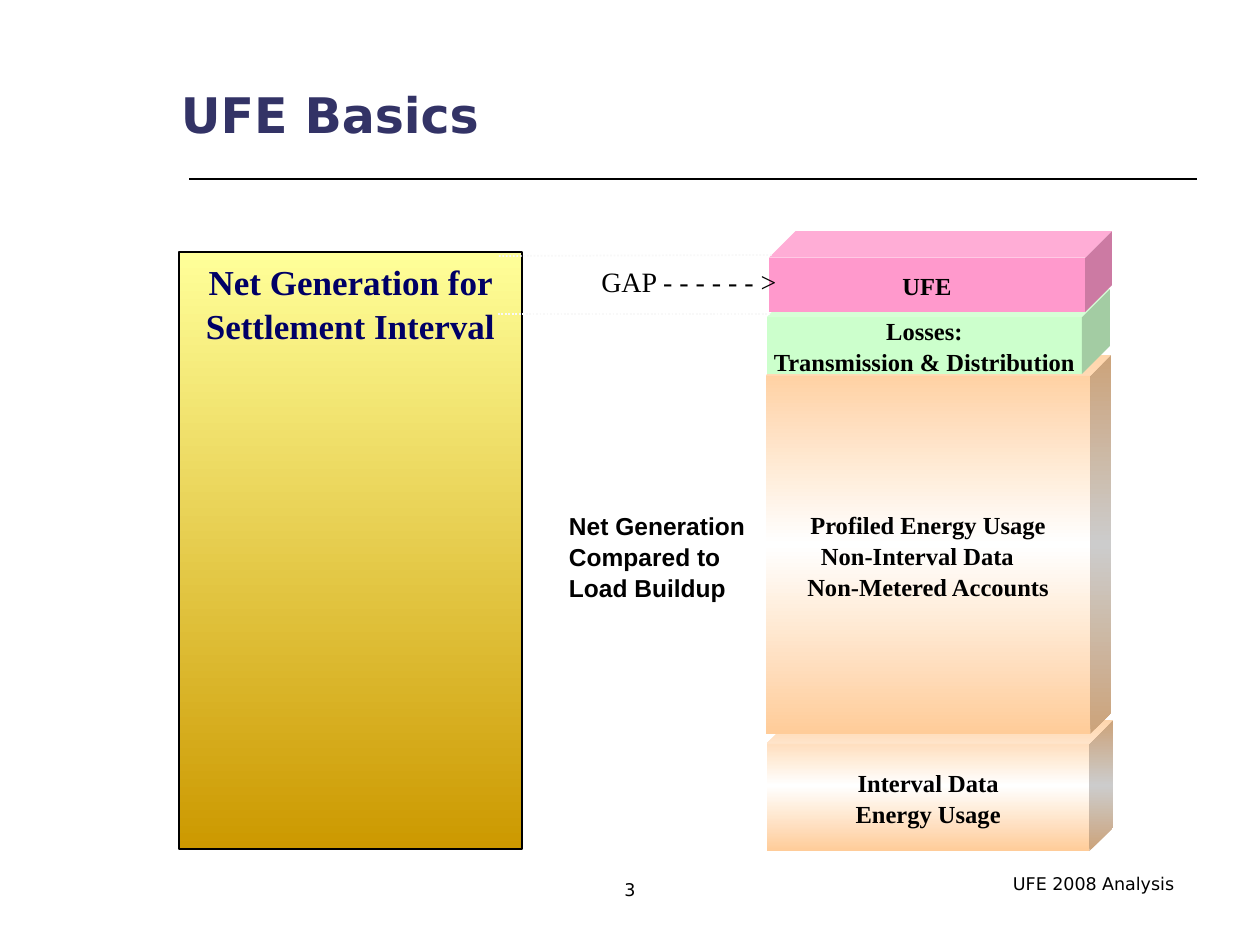
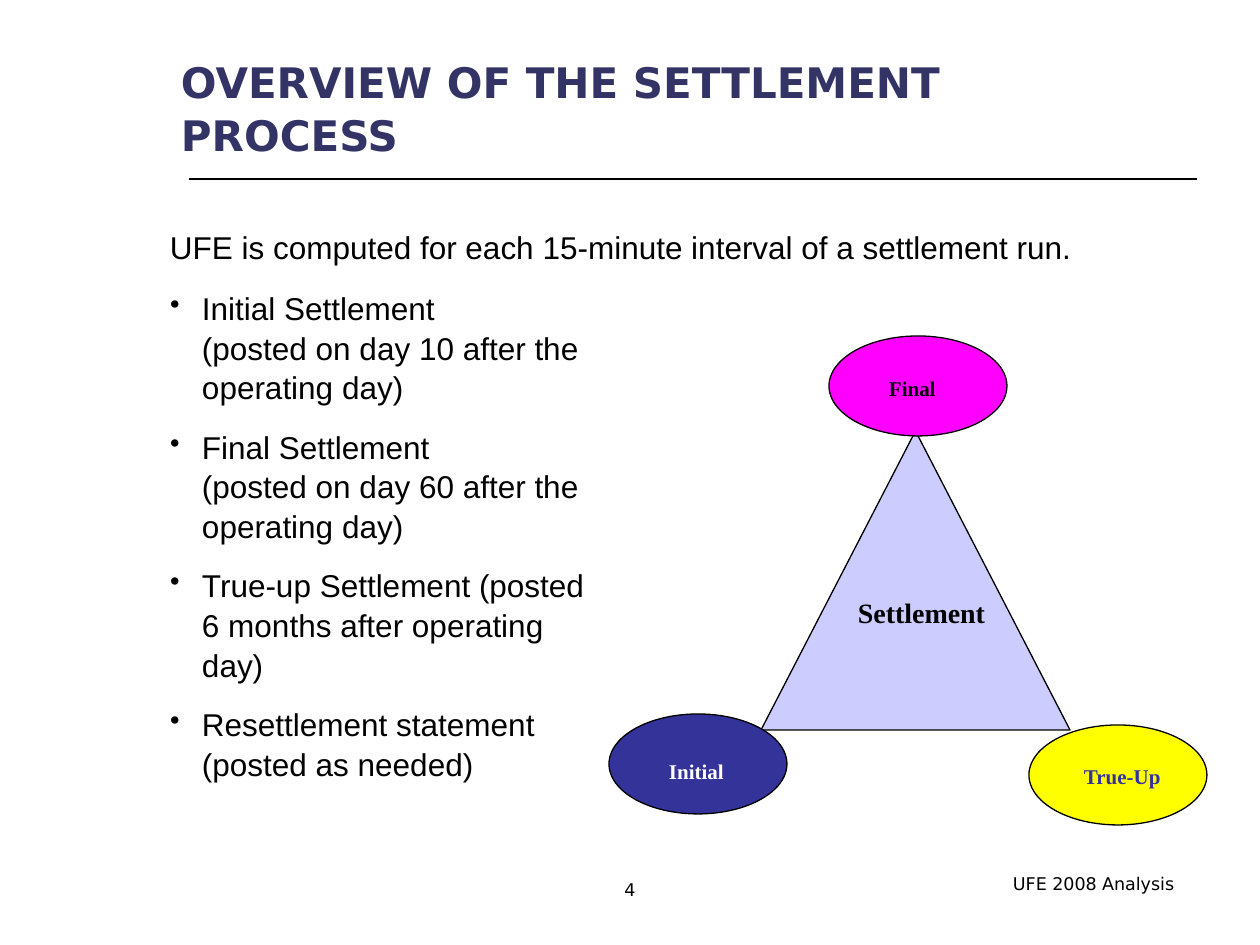
from copy import deepcopy

from lxml import etree
from pptx import Presentation
from pptx.dml.color import RGBColor
from pptx.enum.dml import MSO_LINE
from pptx.enum.shapes import MSO_CONNECTOR, MSO_SHAPE
from pptx.enum.text import MSO_ANCHOR, PP_ALIGN
from pptx.oxml.ns import qn
from pptx.util import Pt

EMU_PER_PX = 914400 / 126
COLORS = {
    "black": "000000", "white": "FFFFFF", "title": "333366", "navy": "000066",
    "pale yellow": "FFFF99", "gold": "CC9900", "peach": "FFCC99",
    "green": "CCFFCC", "pink": "FF99CC", "dots": "F8F8F8", "lavender": "CCCCFF",
    "blue": "333399", "yellow": "FFFF00", "magenta": "FF00FF",
}
SANS, SERIF, HEADING = "Arial", "Times New Roman", "DejaVu Sans"
LEFT, CENTER = PP_ALIGN.LEFT, PP_ALIGN.CENTER
TOP, MIDDLE, BOTTOM = MSO_ANCHOR.TOP, MSO_ANCHOR.MIDDLE, MSO_ANCHOR.BOTTOM


def add_item(slide, kind, box, fills=(), outline=None, weight=0.75):
    """Add a "text" box, a "line" (x1, y1, x2, y2) or a preset shape."""
    lengths = [round(value * EMU_PER_PX) for value in box]
    if kind == "text":
        return slide.shapes.add_textbox(*lengths)
    if kind == "line":
        shape = slide.shapes.add_connector(MSO_CONNECTOR.STRAIGHT, *lengths)
        etree.SubElement(shape._element.spPr, qn("a:effectLst"))
    else:
        shape = slide.shapes.add_shape(kind, *lengths)
        shape.shadow.inherit = False
    if len(fills) == 1:
        shape.fill.solid()
        shape.fill.fore_color.rgb = RGBColor.from_string(COLORS[fills[0]])
    elif fills:
        shape.fill.gradient()
        shape.fill.gradient_angle = 270
        stop_list = shape._element.spPr.find(".//" + qn("a:gsLst"))
        for _ in fills[2:]:
            stop_list.append(deepcopy(stop_list[0]))
        for index, stop in enumerate(shape.fill.gradient_stops):
            stop.position = index / (len(fills) - 1)
            stop.color.rgb = RGBColor.from_string(COLORS[fills[index]])
    if outline:
        shape.line.color.rgb = RGBColor.from_string(COLORS[outline])
        shape.line.width = Pt(weight)
    else:
        shape.line.fill.background()
    return shape


def write_text(shape, lines, size, font=SERIF, color="black", bold=True,
               align=LEFT, anchor=TOP, inset=13, indent=0, bullet=None):
    frame = shape.text_frame
    frame.word_wrap = True
    frame.vertical_anchor = anchor
    frame.margin_left = frame.margin_right = round(inset * EMU_PER_PX)
    frame.margin_top = frame.margin_bottom = round(6 * EMU_PER_PX)
    for index, line in enumerate(lines):
        paragraph = frame.add_paragraph() if index else frame.paragraphs[0]
        paragraph.text = line
        paragraph.alignment = align
        paragraph.line_spacing = 1.05
        properties = paragraph._p.get_or_add_pPr()
        if indent:
            properties.set("marL", str(round(indent * EMU_PER_PX)))
        if bullet:
            if index:
                paragraph.space_before = Pt(11.2)
            properties.set("indent", str(-round(indent * EMU_PER_PX)))
            etree.SubElement(properties, qn("a:buSzPct"), val="90000")
            etree.SubElement(properties, qn("a:buChar"), char=bullet)
        paragraph.font.size = Pt(size)
        paragraph.font.name = font
        paragraph.font.bold = bold
        paragraph.font.color.rgb = RGBColor.from_string(COLORS[color])


presentation = Presentation()
presentation.slide_width = round(1260 * EMU_PER_PX)
presentation.slide_height = round(945 * EMU_PER_PX)

# Title, rule, footer and page number on both slides
titles = [
    ("UFE Basics", 28, (168, 75, 616, 74), BOTTOM),
    ("OVERVIEW OF THE SETTLEMENT PROCESS", 24, (168, 67, 809, 79), MIDDLE),
]
slides = []
for number, (title, size, box, anchor) in enumerate(titles, start=3):
    slide = presentation.slides.add_slide(presentation.slide_layouts[6])
    slides.append(slide)
    add_item(slide, "line", (189, 179, 1197, 179), outline="black", weight=1)
    write_text(add_item(slide, "text", box), [title], size, HEADING, "title",
               anchor=anchor)
    for text, footer_box in [("UFE 2008 Analysis", (989, 866, 209, 34)),
                             (str(number), (580, 872, 100, 42))]:
        write_text(add_item(slide, "text", footer_box), [text], 10, HEADING,
                   bold=False, align=CENTER)
basics, overview = slides

# Net generation column
generation = add_item(basics, MSO_SHAPE.RECTANGLE, (179, 252, 343, 597),
                      ("pale yellow", "gold"), "black")
write_text(generation, ["Net Generation for Settlement Interval"], 20,
           color="navy", align=CENTER, inset=6)

# Load buildup, stacked from the bottom up
peach_glow = ("peach", "white", "peach")
cubes = [
    ((767, 720, 346, 131), 0.18, peach_glow, ["Interval Data", "Energy Usage"]),
    ((766, 355, 345, 379), 0.06, peach_glow,
     ["Profiled Energy Usage", "Non-Interval Data", "Non-Metered Accounts"]),
    ((767, 289, 343, 85), 0.33, ("green",),
     ["Losses:", "Transmission & Distribution"]),
    ((769, 231, 343, 81), 0.33, ("pink",), ["UFE"]),
]
for box, depth, fills, lines in cubes:
    cube = add_item(basics, MSO_SHAPE.CUBE, box, fills)
    cube.adjustments[0] = depth
    write_text(cube, lines, 14, align=CENTER, anchor=MIDDLE, inset=2)
    for paragraph in cube.text_frame.paragraphs:
        if paragraph.text == "Non-Interval Data":
            paragraph.alignment = LEFT
            paragraph._p.pPr.set("marL", str(round(53 * EMU_PER_PX)))

# Gap between generation and load
for ends in [(498, 314, 769, 314), (499, 256, 772, 255)]:
    gap_line = add_item(basics, "line", ends, outline="dots", weight=1)
    gap_line.line.dash_style = MSO_LINE.ROUND_DOT
write_text(add_item(basics, "text", (580, 257, 218, 47)), ["GAP - - - - - - >"],
           16, bold=False, align=CENTER, anchor=MIDDLE)
write_text(add_item(basics, "text", (556, 504, 210, 101)),
           ["Net Generation", "Compared to", "Load Buildup"], 14, SANS)

# Settlement runs as text
write_text(add_item(overview, "text", (157, 220, 998, 63)),
           ["UFE is computed for each 15-minute interval of a settlement run."],
           18, SANS, bold=False)
write_text(add_item(overview, "text", (157, 281, 462, 488)), [
    "Initial Settlement\v(posted on day 10 after the operating day)",
    "Final Settlement\v(posted on day 60 after the operating day)",
    "True-up Settlement (posted 6 months after operating day)",
    "Resettlement statement (posted as needed)",
], 18, SANS, bold=False, indent=32, bullet="•")

# Settlement triangle with a run at each corner
add_item(overview, MSO_SHAPE.ISOSCELES_TRIANGLE, (761, 431, 309, 299),
         ("lavender",), "black")
write_text(add_item(overview, "text", (845, 588, 163, 63)), ["Settlement"], 16)
runs = [
    ("Initial", (609, 714), (656, 751), "blue", "white"),
    ("True-Up", (1029, 725), (1071, 756), "yellow", "blue"),
    ("Final", (829, 336), (876, 368), "magenta", "black"),
]
for name, corner, label_corner, fill, text_color in runs:
    add_item(overview, MSO_SHAPE.OVAL, (*corner, 178, 100), (fill,), "black")
    write_text(add_item(overview, "text", (*label_corner, 142, 39)), [name], 12,
               color=text_color)

presentation.save("out.pptx")
